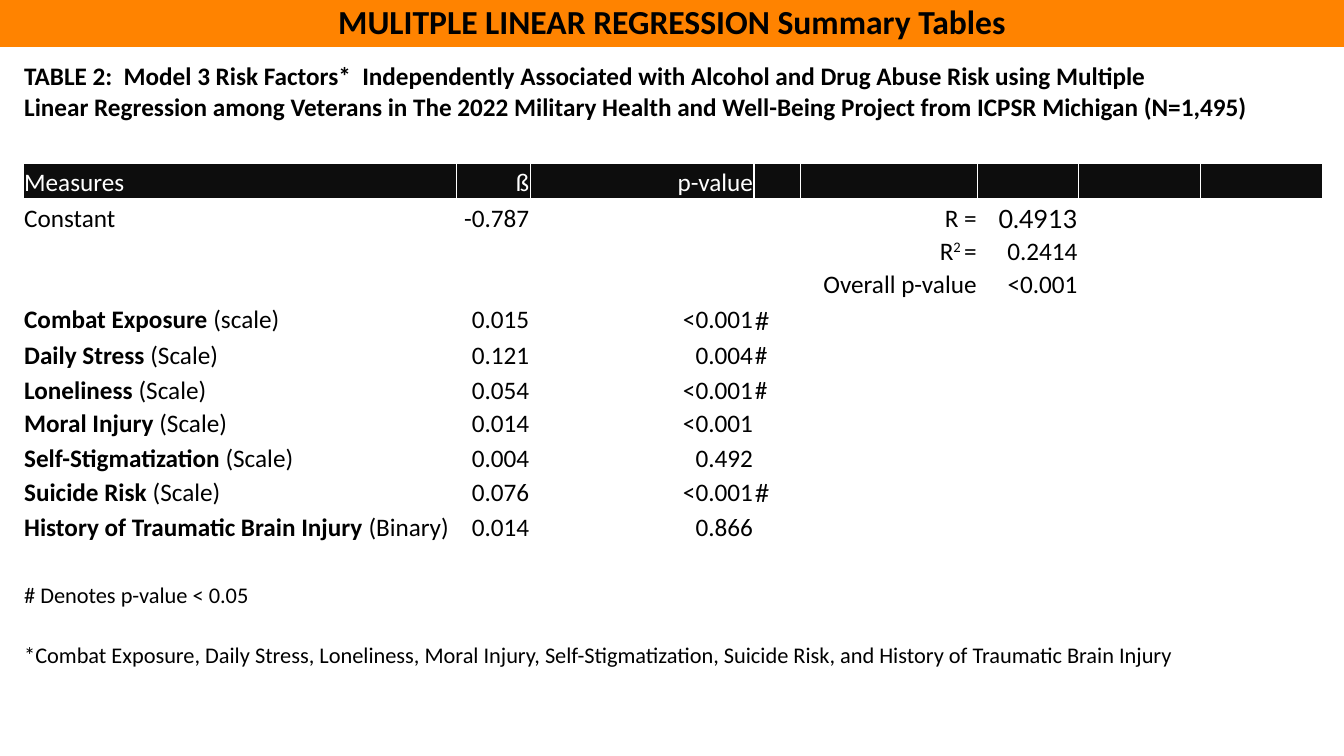
from lxml.etree import SubElement
from pptx import Presentation
from pptx.dml.color import RGBColor
from pptx.enum.shapes import MSO_SHAPE
from pptx.enum.text import MSO_ANCHOR, PP_ALIGN
from pptx.oxml.ns import qn
from pptx.util import Pt

ORANGE = RGBColor(0xFF, 0x83, 0x00)
BLACK = RGBColor(0x00, 0x00, 0x00)
CHARCOAL = RGBColor(0x0D, 0x0D, 0x0D)
WHITE = RGBColor(0xFF, 0xFF, 0xFF)

COLUMN_WIDTHS = [309.6, 52.56, 159.84, 33.12, 126.72, 72, 87.12, 87.12]
TALL, SHORT = 25.2, 23.76
ROW_HEIGHTS = [73.4, TALL, TALL, SHORT, SHORT, TALL, TALL, TALL,
               SHORT, TALL, SHORT, TALL, SHORT, SHORT, 42.5]
RIGHT_ALIGNED_COLUMNS = {1, 2, 4, 5}
HEADINGS = ["Measures", "ß", "p-value"]
RISK_FACTORS = [
    ("Combat Exposure ", "(scale)", "0.015", "<0.001", "#"),
    ("Daily Stress ", "(Scale)", "0.121", "0.004", "#"),
    ("Loneliness ", "(Scale)", "0.054", "<0.001", "#"),
    ("Moral Injury ", "(Scale)", "0.014", "<0.001", ""),
    ("Self-Stigmatization ", "(Scale)", "0.004", "0.492", ""),
    ("Suicide Risk ", "(Scale)", "0.076", "<0.001", "#"),
    ("History of Traumatic Brain Injury ", "(Binary)", "0.014", "0.866", ""),
]
LATO_MARKS = {"Combat Exposure ", "Suicide Risk "}
CAPTION = ("TABLE 2:  Model 3 Risk Factors*  Independently Associated with "
           "Alcohol and Drug Abuse Risk using Multiple\v"
           "Linear Regression among Veterans in The 2022 Military Health and "
           "Well-Being Project from ICPSR Michigan (N=1,495)")
FOOTNOTE = ("*Combat Exposure, Daily Stress, Loneliness, Moral Injury, "
            "Self-Stigmatization, Suicide Risk, and History of Traumatic "
            "Brain Injury")


class SlideBuilder:
    font_name = "Calibri"
    body_size = 18

    def __init__(self, slide):
        self.slide = slide

    def style(self, paragraph, size=body_size, color=BLACK, bold=False,
              name=font_name):
        paragraph.font.name = name
        paragraph.font.size = Pt(size)
        paragraph.font.color.rgb = color
        paragraph.font.bold = bold

    def banner(self, text, left, top, width, height):
        shape = self.slide.shapes.add_shape(
            MSO_SHAPE.RECTANGLE, Pt(left), Pt(top), Pt(width), Pt(height))
        shape.shadow.inherit = False
        shape.fill.solid()
        shape.fill.fore_color.rgb = ORANGE
        shape.line.fill.background()
        frame = shape.text_frame
        frame.word_wrap = True
        frame.vertical_anchor = MSO_ANCHOR.MIDDLE
        paragraph = frame.paragraphs[0]
        paragraph.text = text
        paragraph.alignment = PP_ALIGN.CENTER
        self.style(paragraph, size=24, bold=True)

    def table(self, left, top, widths, heights):
        frame = self.slide.shapes.add_table(
            len(heights), len(widths), Pt(left), Pt(top),
            Pt(sum(widths)), Pt(sum(heights)))
        table = frame.table
        table.first_row = False
        table.horz_banding = False
        for column, width in zip(table.columns, widths):
            column.width = Pt(width)
        for row, height in zip(table.rows, heights):
            row.height = Pt(height)
        for row_index in range(len(heights)):
            for column_index in range(len(widths)):
                self.blank_cell(table.cell(row_index, column_index),
                                column_index in RIGHT_ALIGNED_COLUMNS)
        return table

    def blank_cell(self, cell, right_aligned):
        cell.margin_left = cell.margin_right = cell.margin_top = Pt(0.72)
        cell.margin_bottom = Pt(0)
        cell.vertical_anchor = MSO_ANCHOR.BOTTOM
        properties = cell._tc.get_or_add_tcPr()
        for side in ("a:lnL", "a:lnR", "a:lnT", "a:lnB"):
            line = SubElement(properties, qn(side), w=str(Pt(1)))
            fill = SubElement(line, qn("a:solidFill"))
            SubElement(fill, qn("a:srgbClr"), val=str(WHITE))
        self.fill_cell(cell, WHITE)
        paragraph = cell.text_frame.paragraphs[0]
        paragraph.alignment = PP_ALIGN.RIGHT if right_aligned else PP_ALIGN.LEFT
        self.style(paragraph)

    def fill_cell(self, cell, color):
        cell.fill.solid()
        cell.fill.fore_color.rgb = color

    def cell_text(self, cell, text, **style):
        paragraph = cell.text_frame.paragraphs[0]
        paragraph.text = text
        self.style(paragraph, **style)

    def cell_runs(self, cell, *texts):
        paragraph = cell.text_frame.paragraphs[0]
        runs = []
        for text in texts:
            run = paragraph.add_run()
            run.text = text
            runs.append(run)
        return runs


def main():
    presentation = Presentation()
    presentation.slide_width = Pt(960)
    presentation.slide_height = Pt(540)
    builder = SlideBuilder(
        presentation.slides.add_slide(presentation.slide_layouts[6]))
    builder.banner("MULITPLE LINEAR REGRESSION Summary Tables",
                   0, -2.88, 960, 36.5)
    table = builder.table(16.56, 43.2, COLUMN_WIDTHS, ROW_HEIGHTS)
    last_row, last_column = len(ROW_HEIGHTS) - 1, len(COLUMN_WIDTHS) - 1
    for row in (0, last_row):
        table.cell(row, 0).merge(table.cell(row, last_column))

    caption = table.cell(0, 0)
    caption.vertical_anchor = MSO_ANCHOR.TOP
    builder.cell_text(caption, CAPTION, bold=True)

    for column in range(len(COLUMN_WIDTHS)):
        builder.fill_cell(table.cell(1, column), CHARCOAL)
    for column, heading in enumerate(HEADINGS):
        builder.cell_text(table.cell(1, column), heading, color=WHITE)

    builder.cell_text(table.cell(2, 0), "Constant")
    builder.cell_text(table.cell(2, 1), "-0.787")
    builder.cell_text(table.cell(2, 4), "R =")
    builder.cell_text(table.cell(2, 5), "0.4913", name="Lato")
    exponent = builder.cell_runs(table.cell(3, 4), "R", "2 ", "=")[1]
    exponent.font._element.set("baseline", "30000")
    builder.cell_text(table.cell(3, 5), "0.2414")
    builder.cell_text(table.cell(4, 4), "Overall p-value")
    builder.cell_text(table.cell(4, 5), "<0.001")

    for row, (measure, kind, beta, p_value, mark) in enumerate(RISK_FACTORS, 5):
        measure_run = builder.cell_runs(table.cell(row, 0), measure, kind)[0]
        measure_run.font.bold = True
        builder.cell_text(table.cell(row, 1), beta)
        builder.cell_text(table.cell(row, 2), p_value)
        if mark:
            mark_font = "Lato" if measure in LATO_MARKS else "Calibri"
            builder.cell_text(table.cell(row, 3), mark, name=mark_font)

    builder.cell_text(table.cell(last_row - 1, 0), "# Denotes p-value < 0.05",
                      size=16)
    builder.cell_text(table.cell(last_row, 0), FOOTNOTE, size=16)
    presentation.save("out.pptx")


if __name__ == "__main__":
    main()
